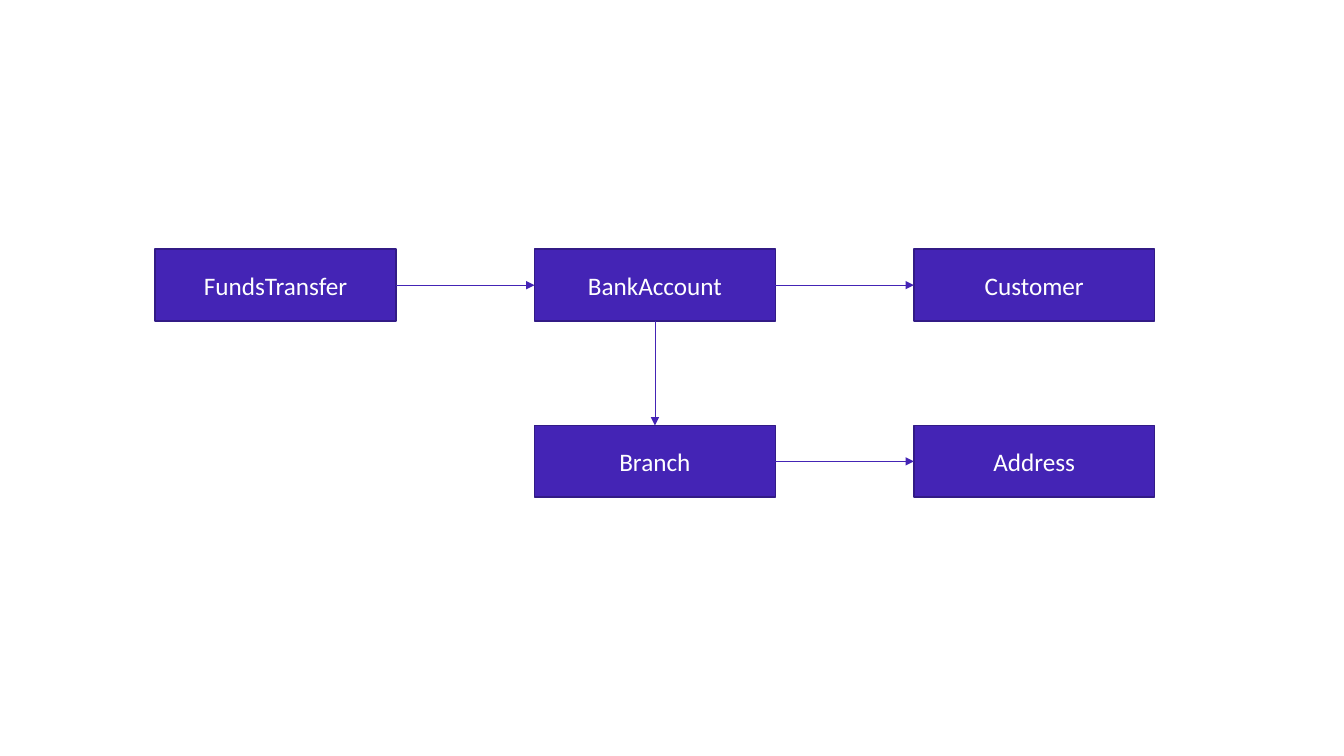
from dataclasses import dataclass

from lxml.etree import SubElement
from pptx import Presentation
from pptx.dml.color import RGBColor
from pptx.enum.shapes import MSO_CONNECTOR, MSO_SHAPE
from pptx.enum.text import MSO_ANCHOR, PP_ALIGN
from pptx.oxml.ns import qn
from pptx.util import Cm, Pt


@dataclass(frozen=True)
class Theme:
    font: str = "Calibri"
    label_size: Pt = Pt(18)
    label_color: RGBColor = RGBColor(0xFF, 0xFF, 0xFF)
    fill: RGBColor = RGBColor(0x44, 0x24, 0xB5)
    border: RGBColor = RGBColor(0x32, 0x1B, 0x86)
    border_width: Pt = Pt(1)
    arrow_width: Pt = Pt(0.5)


@dataclass(frozen=True)
class Box:
    left: int
    top: int
    width: int
    height: int


THEME = Theme()
TOP, LEFT, BOTTOM, RIGHT = range(4)
SIDE_POSITIONS = {TOP: (0.5, 0), LEFT: (0, 0.5), BOTTOM: (0.5, 1), RIGHT: (1, 0.5)}
CLASS_WIDTH, CLASS_HEIGHT = Cm(6.07), Cm(1.81)
CLASS_CELLS = {
    "FundsTransfer": (0, 0),
    "BankAccount": (0, 1),
    "Customer": (0, 2),
    "Branch": (1, 1),
    "Address": (1, 2),
}
DEPENDENCIES = [
    ("FundsTransfer", RIGHT, "BankAccount", LEFT),
    ("BankAccount", RIGHT, "Customer", LEFT),
    ("BankAccount", BOTTOM, "Branch", TOP),
    ("Branch", RIGHT, "Address", LEFT),
]


def write_text(shape, text, *, size, color, font=THEME.font, align=PP_ALIGN.CENTER):
    frame = shape.text_frame
    frame.word_wrap = True
    frame.vertical_anchor = MSO_ANCHOR.MIDDLE
    paragraph = frame.paragraphs[0]
    paragraph.alignment = align
    run = paragraph.add_run()
    run.text = text
    run.font.name = font
    run.font.size = size
    run.font.color.rgb = color


def add_class(slide, name, box):
    shape = slide.shapes.add_shape(
        MSO_SHAPE.RECTANGLE, box.left, box.top, box.width, box.height
    )
    shape.shadow.inherit = False
    shape.fill.solid()
    shape.fill.fore_color.rgb = THEME.fill
    shape.line.color.rgb = THEME.border
    shape.line.width = THEME.border_width
    write_text(shape, name, size=THEME.label_size, color=THEME.label_color)
    return shape


def side_point(shape, side):
    across, down = SIDE_POSITIONS[side]
    return (
        shape.left + int(shape.width * across),
        shape.top + int(shape.height * down),
    )


def add_arrow(slide, source, source_side, target, target_side):
    arrow = slide.shapes.add_connector(
        MSO_CONNECTOR.STRAIGHT,
        *side_point(source, source_side),
        *side_point(target, target_side),
    )
    arrow.begin_connect(source, source_side)
    arrow.end_connect(target, target_side)
    arrow.line.color.rgb = THEME.fill
    arrow.line.width = THEME.arrow_width
    properties = arrow.element.spPr
    SubElement(properties.find(qn("a:ln")), qn("a:tailEnd"), type="triangle")
    SubElement(properties, qn("a:effectLst"))


def add_class_diagram(slide, box):
    last_row = max(row for row, column in CLASS_CELLS.values())
    last_column = max(column for row, column in CLASS_CELLS.values())
    row_step = (box.height - CLASS_HEIGHT) // last_row
    column_step = (box.width - CLASS_WIDTH) // last_column
    classes = {}
    for name, (row, column) in CLASS_CELLS.items():
        left = box.left + column * column_step
        top = box.top + row * row_step
        classes[name] = add_class(
            slide, name, Box(left, top, CLASS_WIDTH, CLASS_HEIGHT)
        )
    for source, source_side, target, target_side in DEPENDENCIES:
        add_arrow(slide, classes[source], source_side, classes[target], target_side)


def main():
    presentation = Presentation()
    presentation.slide_width = Cm(33.87)
    presentation.slide_height = Cm(19.05)
    slide = presentation.slides.add_slide(presentation.slide_layouts[6])
    add_class_diagram(slide, Box(Cm(3.91), Cm(6.28), Cm(25.19), Cm(6.25)))
    presentation.save("out.pptx")


main()
